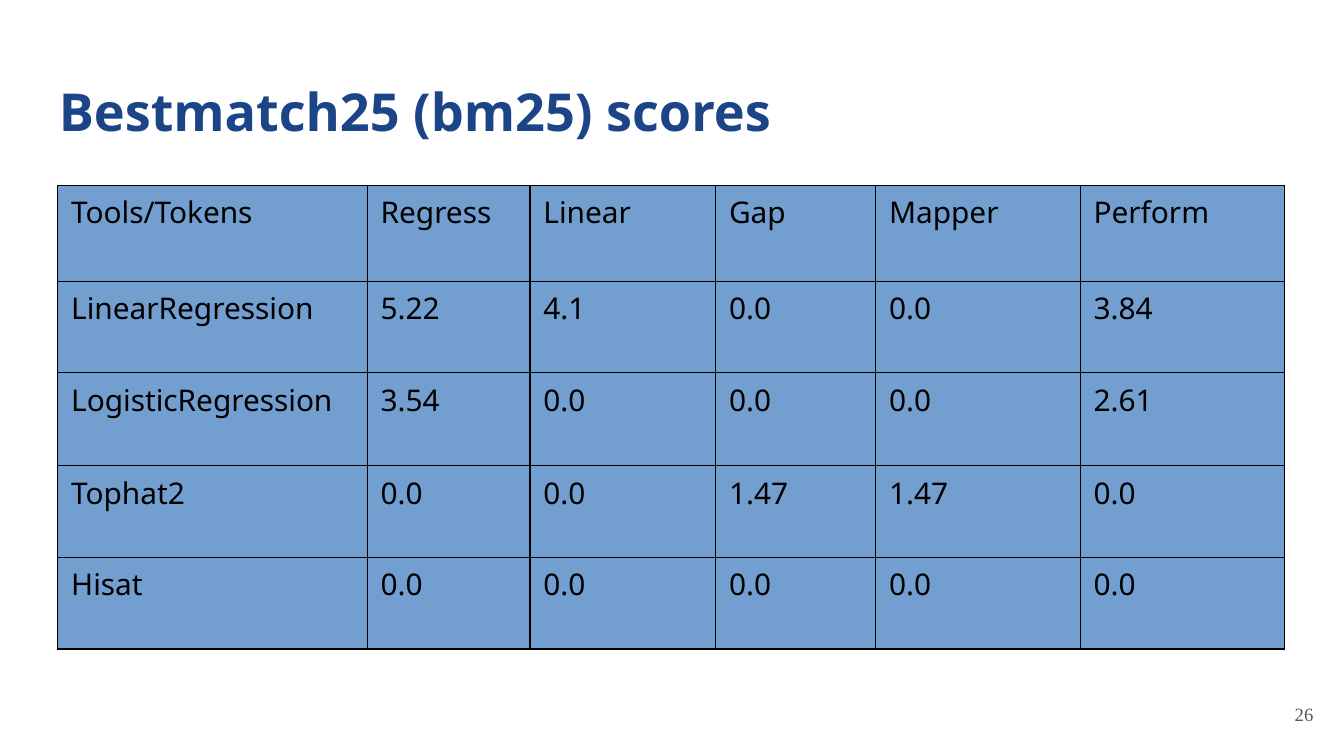
"""Build the slide with the table of bm25 scores."""
import pptx
import pptx.dml.color
import pptx.enum.text
import pptx.oxml
import pptx.oxml.ns
import pptx.util

Inches, Pt = pptx.util.Inches, pptx.util.Pt
ANCHOR, ALIGN = pptx.enum.text.MSO_ANCHOR, pptx.enum.text.PP_ALIGN

TITLE = "Bestmatch25 (bm25) scores"
PAGE = "26"
SCORES = [
    ("Tools/Tokens", "Regress", "Linear", "Gap", "Mapper", "Perform"),
    ("LinearRegression", "5.22", "4.1", "0.0", "0.0", "3.84"),
    ("LogisticRegression", "3.54", "0.0", "0.0", "0.0", "2.61"),
    ("Tophat2", "0.0", "0.0", "1.47", "1.47", "0.0"),
    ("Hisat", "0.0", "0.0", "0.0", "0.0", "0.0"),
]
TABLE_BOX = (0.43, 1.38, 9.13, 3.45)
COL_WIDTHS = [2.3, 1.21, 1.38, 1.19, 1.52, 1.52]
ROW_HEIGHTS = [0.71, 0.68, 0.69, 0.68, 0.68]
NAVY, GREY, BLACK, BLUE = "1C4587", "595959", "000000", "729FCF"


def rgb(value):
    return pptx.dml.color.RGBColor.from_string(value)


def fit(sizes, total):
    return [Inches(size * total / sum(sizes)) for size in sizes]


def write(tf, text, size=16, color=BLACK, font="Noto Sans", bold=False, align=ALIGN.LEFT):
    p = tf.paragraphs[0]
    p.alignment = align
    r = p.add_run()
    r.text = text
    r.font.size, r.font.name, r.font.bold = Pt(size), font, bold
    r.font.color.rgb = rgb(color)


def add_text(s, box, text, anchor=ANCHOR.TOP, **fmt):
    tf = s.shapes.add_textbox(*map(Inches, box)).text_frame
    tf.word_wrap = True
    tf.vertical_anchor = anchor
    tf.margin_left = tf.margin_right = tf.margin_top = tf.margin_bottom = Inches(0.1)
    write(tf, text, **fmt)


def set_borders(cell, color=BLACK, width=0.75):
    tc_pr = cell._tc.get_or_add_tcPr()
    for i, side in enumerate(("lnL", "lnR", "lnT", "lnB")):
        tc_pr.insert(i, pptx.oxml.parse_xml(
            f'<a:{side} {pptx.oxml.ns.nsdecls("a")} w="{Pt(width)}">'
            f'<a:solidFill><a:srgbClr val="{color}"/></a:solidFill></a:{side}>'))


def add_scores(s, box):
    table = s.shapes.add_table(
        len(SCORES), len(COL_WIDTHS), *map(Inches, box)).table
    table.first_row = table.horz_banding = False
    for column, width in zip(table.columns, fit(COL_WIDTHS, box[2])):
        column.width = width
    for row, height, texts in zip(table.rows, fit(ROW_HEIGHTS, box[3]), SCORES):
        row.height = height
        for cell, text in zip(row.cells, texts):
            cell.fill.solid()
            cell.fill.fore_color.rgb = rgb(BLUE)
            set_borders(cell)
            write(cell.text_frame, text)


def main():
    prs = pptx.Presentation()
    prs.slide_width, prs.slide_height = Inches(10), Inches(10 * 9 / 16)
    s = prs.slides.add_slide(prs.slide_layouts[6])
    add_text(s, (0.34, 0.49, 9.32, 0.63), TITLE, size=28, color=NAVY, bold=True)
    add_text(s, (9.27, 5.1, 0.6, 0.43), PAGE, anchor=ANCHOR.MIDDLE, size=10,
             color=GREY, font="Times New Roman", align=ALIGN.RIGHT)
    add_scores(s, TABLE_BOX)
    prs.save("out.pptx")


if __name__ == "__main__":
    main()
